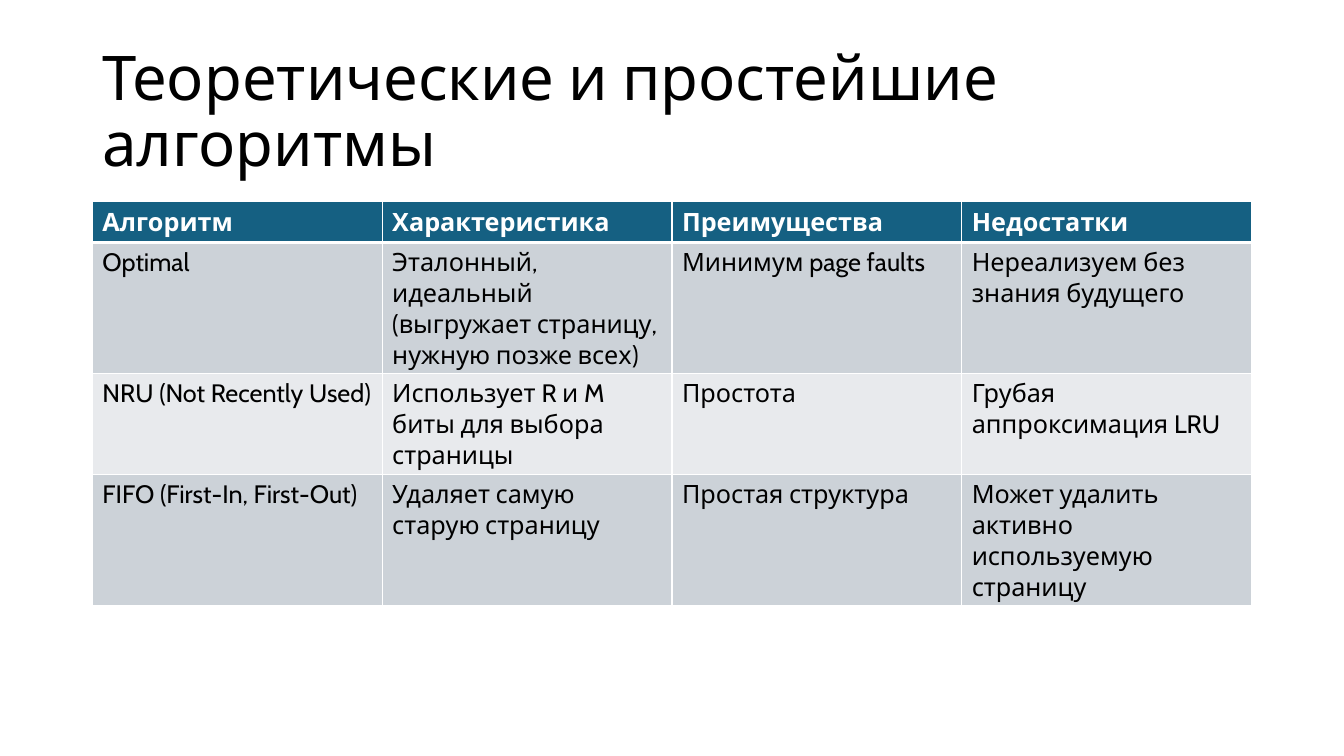
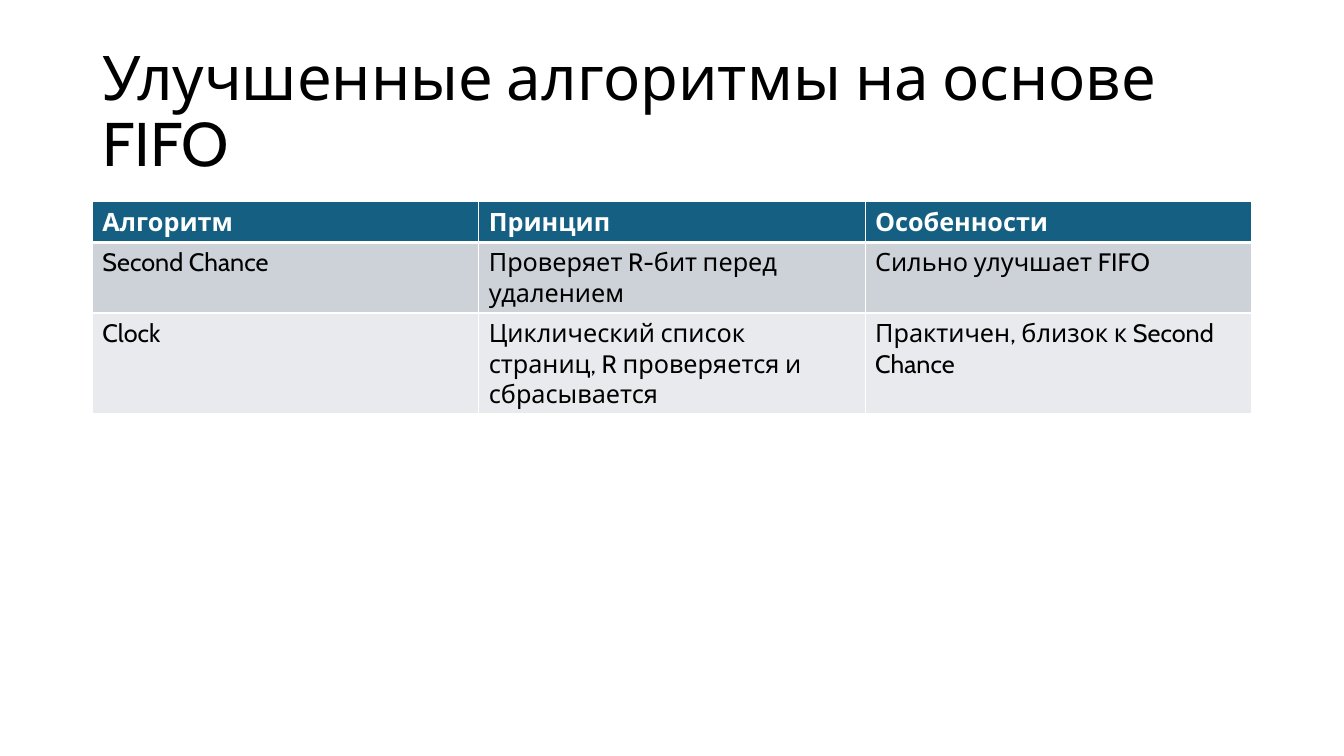
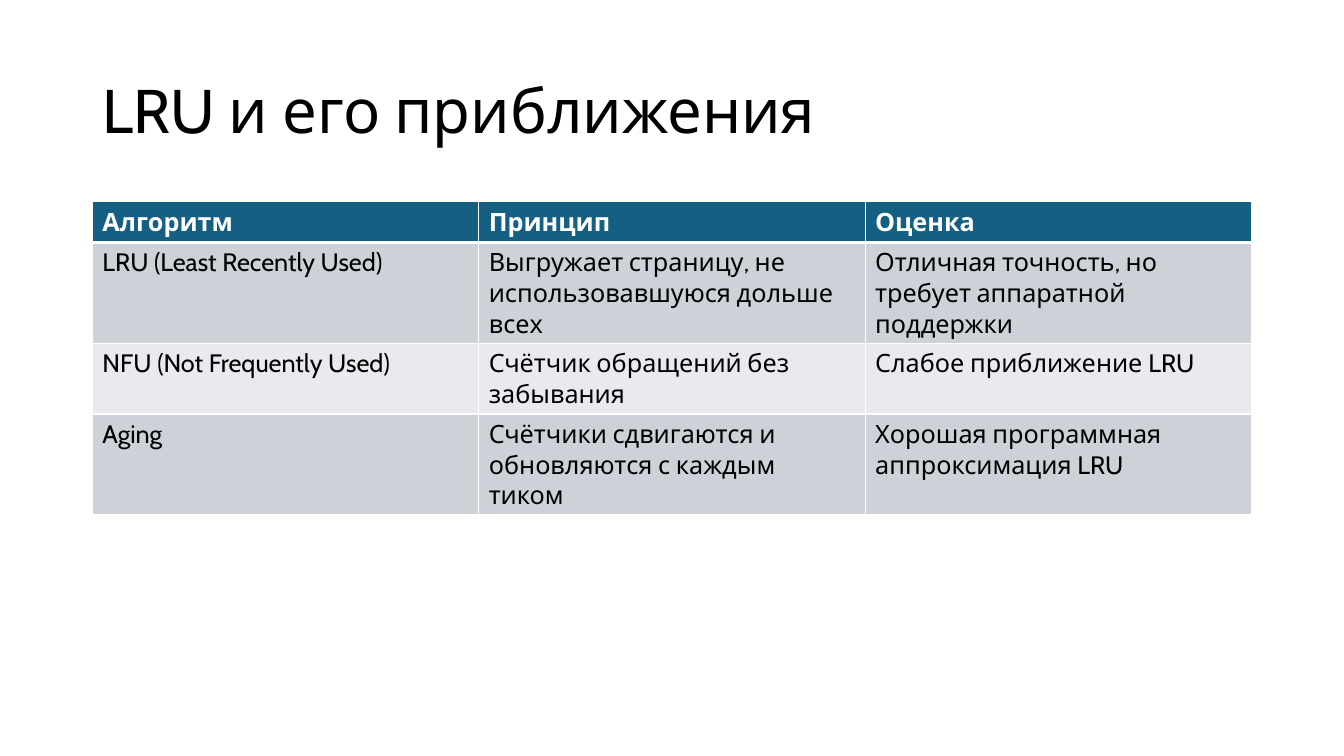
from dataclasses import dataclass

from lxml.etree import SubElement
from pptx import Presentation
from pptx.dml.color import RGBColor
from pptx.enum.text import MSO_ANCHOR
from pptx.oxml.ns import qn
from pptx.util import Pt


@dataclass(frozen=True)
class Theme:
    font: str = "Cabin"
    title_size: int = 44
    table_size: int = 18
    ink: str = "000000"
    paper: str = "FFFFFF"
    header: str = "156082"
    bands: tuple = ("CCD2D8", "E8EAED")
    thin_rule: int = 1
    thick_rule: int = 3


THEME = Theme()
SLIDE_WIDTH, SLIDE_HEIGHT = 960, 540
MARGIN = 66
CONTENT_WIDTH = SLIDE_WIDTH - 2 * MARGIN
TITLE_TOP, TITLE_HEIGHT = 28.8, 104.4
TABLE_TOP, ROW_HEIGHT = 144, 29.2

TOPICS = [
    ("Теоретические и простейшие алгоритмы", [
        ("Алгоритм", "Характеристика", "Преимущества", "Недостатки"),
        ("Optimal",
         "Эталонный, идеальный (выгружает страницу, нужную позже всех)",
         "Минимум page faults", "Нереализуем без знания будущего"),
        ("NRU (Not Recently Used)",
         "Использует R и M биты для выбора страницы",
         "Простота", "Грубая аппроксимация LRU"),
        ("FIFO (First-In, First-Out)", "Удаляет самую старую страницу",
         "Простая структура", "Может удалить активно используемую страницу"),
    ]),
    ("Улучшенные алгоритмы на основе FIFO", [
        ("Алгоритм", "Принцип", "Особенности"),
        ("Second Chance", "Проверяет R-бит перед удалением",
         "Сильно улучшает FIFO"),
        ("Clock", "Циклический список страниц, R проверяется и сбрасывается",
         "Практичен, близок к Second Chance"),
    ]),
    ("LRU и его приближения", [
        ("Алгоритм", "Принцип", "Оценка"),
        ("LRU (Least Recently Used)",
         "Выгружает страницу, не использовавшуюся дольше всех",
         "Отличная точность, но требует аппаратной поддержки"),
        ("NFU (Not Frequently Used)", "Счётчик обращений без забывания",
         "Слабое приближение LRU"),
        ("Aging", "Счётчики сдвигаются и обновляются с каждым тиком",
         "Хорошая программная аппроксимация LRU"),
    ]),
]


def write(paragraph, text, color, size, bold=False):
    run = paragraph.add_run()
    run.text = text
    font_values = {"name": THEME.font, "size": Pt(size), "bold": bold}
    for attribute, value in font_values.items():
        setattr(run.font, attribute, value)
    run.font.color.rgb = RGBColor.from_string(color)


def add_title(slide, text):
    title = slide.shapes.add_textbox(
        Pt(MARGIN), Pt(TITLE_TOP), Pt(CONTENT_WIDTH), Pt(TITLE_HEIGHT))
    frame = title.text_frame
    frame_values = {"word_wrap": True, "vertical_anchor": MSO_ANCHOR.MIDDLE}
    for attribute, value in frame_values.items():
        setattr(frame, attribute, value)
    paragraph = frame.paragraphs[0]
    paragraph.line_spacing = 0.9
    write(paragraph, text, THEME.ink, THEME.title_size)


def add_borders(cell, top, bottom):
    """Rule all four sides; call before filling, as the schema puts lines first."""
    properties = cell._tc.get_or_add_tcPr()
    widths = {"a:lnL": THEME.thin_rule, "a:lnR": THEME.thin_rule,
              "a:lnT": top, "a:lnB": bottom}
    for side, width in widths.items():
        line = SubElement(properties, qn(side), w=str(Pt(width)))
        fill = SubElement(line, qn("a:solidFill"))
        SubElement(fill, qn("a:srgbClr"), val=THEME.paper)


def style_cell(cell, text, row):
    is_header = row == 0
    add_borders(cell,
                top=THEME.thick_rule if row == 1 else THEME.thin_rule,
                bottom=THEME.thick_rule if is_header else THEME.thin_rule)
    band = THEME.header if is_header else THEME.bands[(row - 1) % len(THEME.bands)]
    cell.fill.solid()
    cell.fill.fore_color.rgb = RGBColor.from_string(band)
    write(cell.text_frame.paragraphs[0], text,
          THEME.paper if is_header else THEME.ink, THEME.table_size, is_header)


def add_comparison(slide, rows):
    """Add an equal-column table whose first row is the header."""
    table = slide.shapes.add_table(
        len(rows), len(rows[0]), Pt(MARGIN), Pt(TABLE_TOP),
        Pt(CONTENT_WIDTH), Pt(ROW_HEIGHT * len(rows))).table
    for row, texts in enumerate(rows):
        for column, text in enumerate(texts):
            style_cell(table.cell(row, column), text, row)


def main():
    presentation = Presentation()
    presentation.slide_width = Pt(SLIDE_WIDTH)
    presentation.slide_height = Pt(SLIDE_HEIGHT)
    blank = presentation.slide_layouts[6]
    for title, rows in TOPICS:
        slide = presentation.slides.add_slide(blank)
        add_title(slide, title)
        add_comparison(slide, rows)
    presentation.save("out.pptx")


if __name__ == "__main__":
    main()
